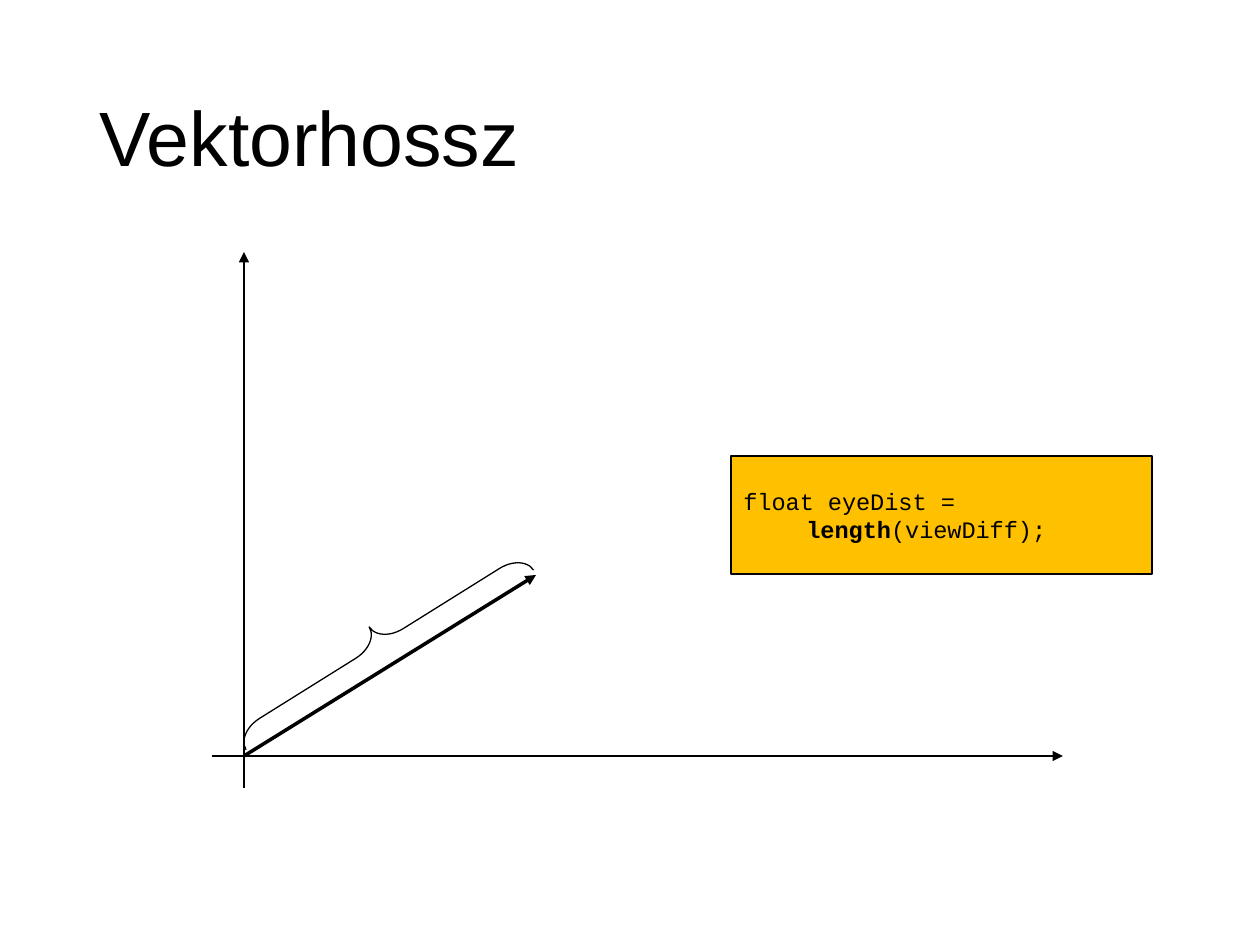
import pptx
import pptx.dml.color
import pptx.enum.shapes
import pptx.enum.text
import pptx.oxml
import pptx.oxml.ns
import pptx.util

EMU_PER_PX = 914400 / 126
COLORS = {"ink": "000000", "code": "FFC000"}
SHAPES = pptx.enum.shapes.MSO_SHAPE
ALIGN_LEFT = pptx.enum.text.PP_ALIGN.LEFT
MIDDLE = pptx.enum.text.MSO_ANCHOR.MIDDLE


def px(*lengths):
    return [pptx.util.Emu(round(length * EMU_PER_PX)) for length in lengths]


def color(name):
    return pptx.dml.color.RGBColor.from_string(COLORS[name])


class VectorSlide:
    heading_font, code_font = "Arial", "Courier New"
    thin = 0.75

    def __init__(self, slide):
        self.slide = slide

    def style_font(self, paragraph, name, size):
        paragraph.alignment = ALIGN_LEFT
        paragraph.font.name = name
        paragraph.font.size = pptx.util.Pt(size)
        paragraph.font.color.rgb = color("ink")

    def outline(self, line, width):
        line.color.rgb = color("ink")
        line.width = pptx.util.Pt(width)

    def title(self, text, box):
        heading = self.slide.shapes.title
        heading.left, heading.top, heading.width, heading.height = px(*box)
        frame = heading.text_frame
        frame.text = text
        frame.auto_size = pptx.enum.text.MSO_AUTO_SIZE.NONE
        frame.vertical_anchor = MIDDLE
        frame.paragraphs[0].line_spacing = 0.9
        self.style_font(frame.paragraphs[0], self.heading_font, 44)

    def arrow(self, start, end, width=thin):
        arrow = self.slide.shapes.add_connector(
            pptx.enum.shapes.MSO_CONNECTOR.STRAIGHT, *px(*start, *end))
        self.outline(arrow.line, width)
        head = pptx.oxml.parse_xml(
            f'<a:tailEnd {pptx.oxml.ns.nsdecls("a")} type="triangle"/>')
        arrow.line._get_or_add_ln().append(head)
        arrow._element.spPr.append(pptx.oxml.parse_xml(
            f'<a:effectLst {pptx.oxml.ns.nsdecls("a")}/>'))

    def shape(self, kind, box):
        shape = self.slide.shapes.add_shape(kind, *px(*box))
        shape.shadow.inherit = False
        self.outline(shape.line, self.thin)
        return shape

    def code(self, lines, box):
        """Each line is a list of (text, bold) pairs."""
        panel = self.shape(SHAPES.RECTANGLE, box)
        panel.fill.solid()
        panel.fill.fore_color.rgb = color("code")
        frame = panel.text_frame
        frame.word_wrap = True
        frame.vertical_anchor = MIDDLE
        for index, pieces in enumerate(lines):
            paragraph = frame.add_paragraph() if index else frame.paragraphs[0]
            self.style_font(paragraph, self.code_font, 13.5)
            for text, bold in pieces:
                run = paragraph.add_run()
                run.text = text
                run.font.bold = bold

    def brace(self, box, rotation, curl):
        brace = self.shape(SHAPES.LEFT_BRACE, box)
        brace.fill.background()
        brace.rotation = rotation
        brace.adjustments[0] = curl


def main():
    deck = pptx.Presentation()
    deck.slide_width, deck.slide_height = px(1260, 945)
    page = VectorSlide(deck.slides.add_slide(deck.slide_layouts[5]))

    page.title("Vektorhossz", (87, 50, 1086, 183))

    origin_x, origin_y, overhang = 244, 756, 32
    page.arrow((origin_x, origin_y + overhang), (origin_x, 252))
    page.arrow((origin_x - overhang, origin_y), (1063, origin_y))
    page.arrow((origin_x, origin_y), (536, 575), width=2)

    page.code([[("float eyeDist =", False)],
               [("\t", False), ("length", True), ("(viewDiff);", False)]],
              (731, 456, 421, 118))
    page.brace((360, 474, 39, 339), rotation=58, curl=0.717)

    deck.save("out.pptx")


if __name__ == "__main__":
    main()
